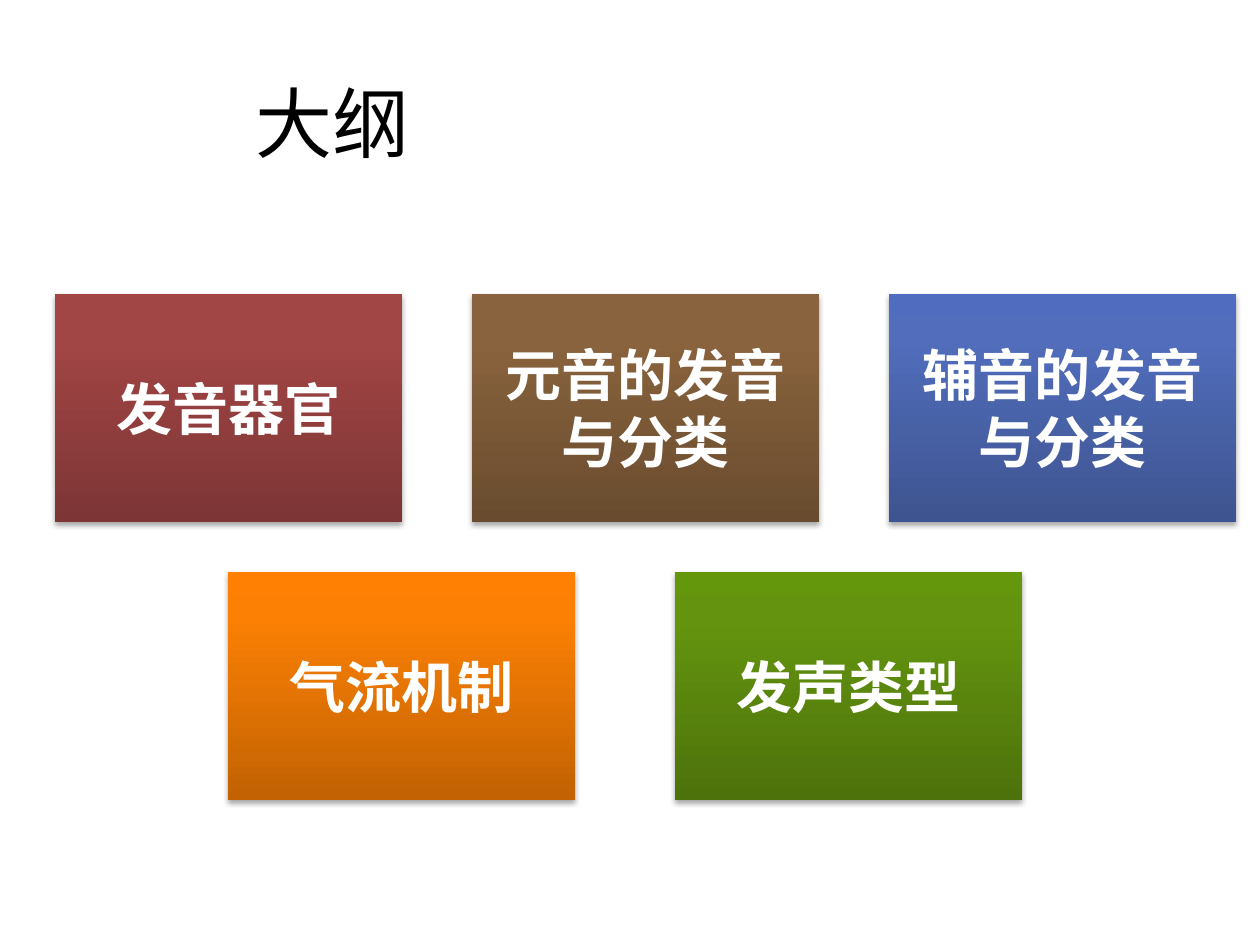
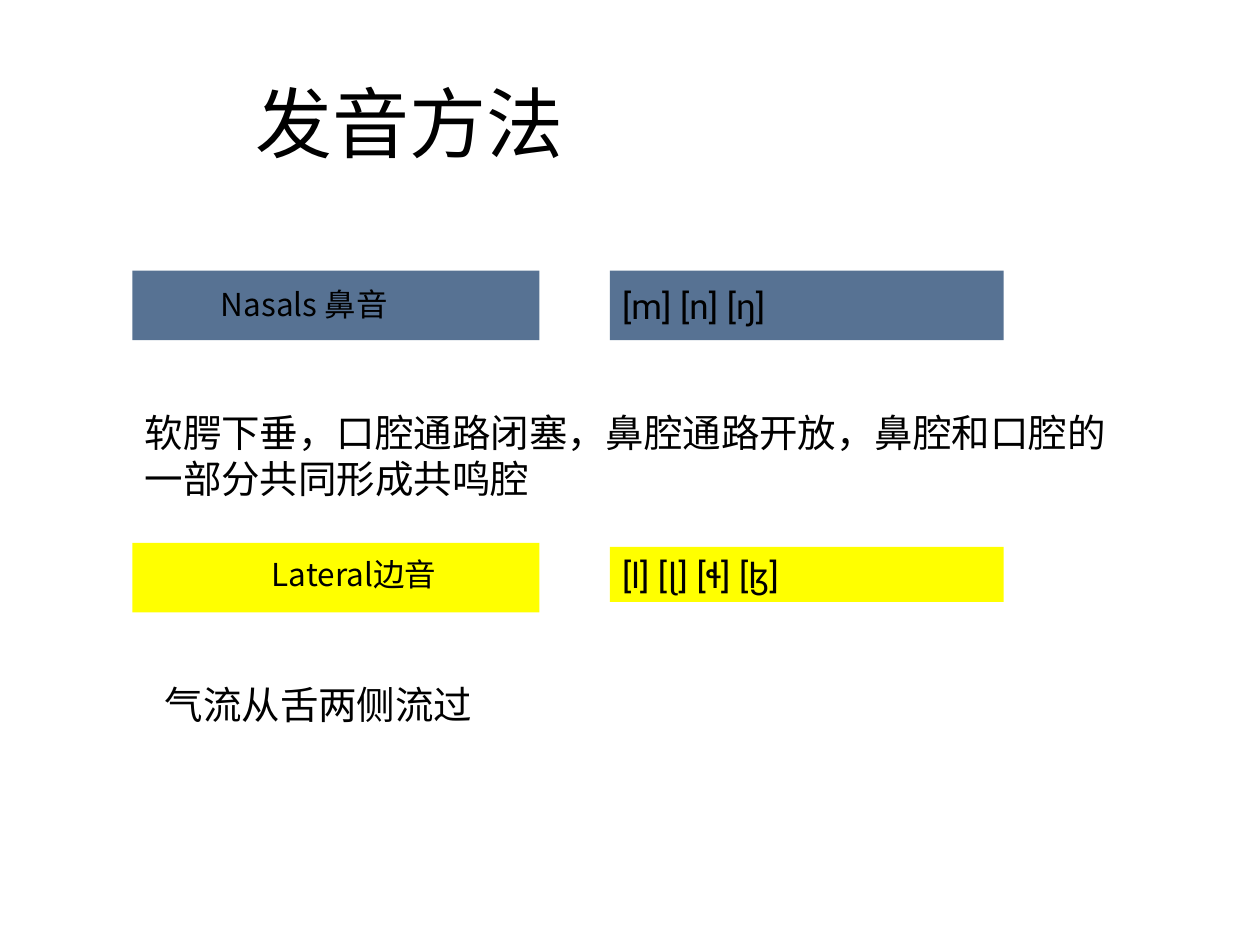
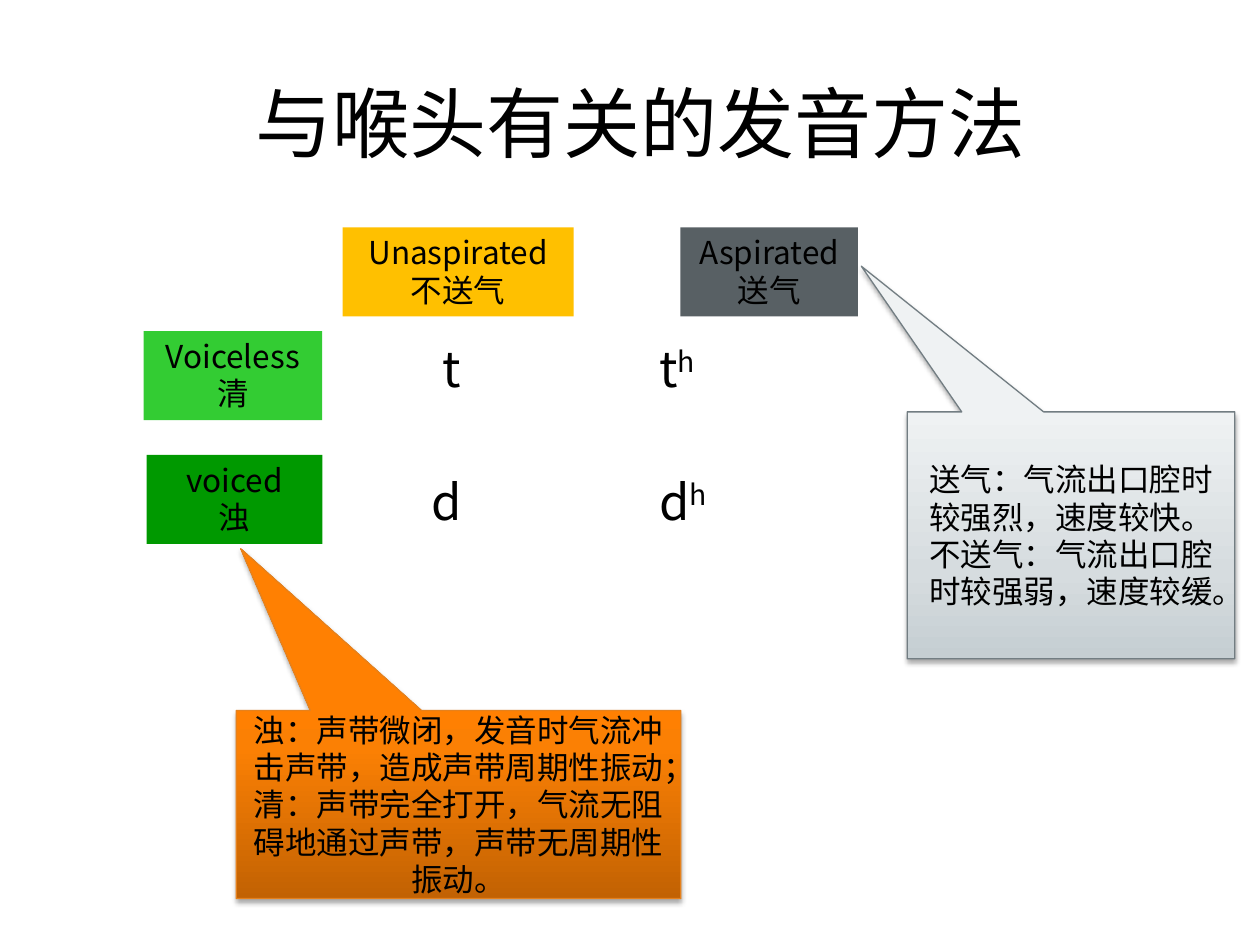
from dataclasses import dataclass

from lxml import etree
from pptx import Presentation
from pptx import util as u
from pptx.dml.color import RGBColor
from pptx.enum import shapes, text
from pptx.oxml import ns, parse_xml

Pt = u.Pt
CENTER, LEFT = text.PP_ALIGN.CENTER, text.PP_ALIGN.LEFT
TOP, MIDDLE = text.MSO_ANCHOR.TOP, text.MSO_ANCHOR.MIDDLE
RECT = shapes.MSO_SHAPE.RECTANGLE
CALLOUT = shapes.MSO_SHAPE.RECTANGULAR_CALLOUT


@dataclass(frozen=True)
class Theme:
    # Fonts
    body_font: str = "Noto Sans CJK SC"
    ipa_font: str = "Roboto"
    tile_font: str = "Times New Roman"
    # Type sizes
    title: int = 44
    tile: int = 32
    symbol: int = 28
    note: int = 22
    ipa: int = 20
    label: int = 18
    line_height: float = 1.19
    title_line: int = 58
    # Flat colours
    ink: str = "000000"
    paper: str = "FFFFFF"
    nasal: str = "577293"
    lateral: str = "FFFF00"
    unaspirated: str = "FFC000"
    aspirated: str = "586064"
    voiceless: str = "33CC33"
    voiced: str = "009900"
    silver_line: str = "727D82"
    orange_line: str = "E6811C"
    # Gradients, from the bottom up: (percent, colour)
    red: tuple = ((0, "7D3535"), (80, "A24545"), (100, "A44343"))
    brown: tuple = ((0, "694C2F"), (80, "89633D"), (100, "8B633C"))
    blue: tuple = ((0, "3E5490"), (80, "516DBB"), (100, "4F6CBE"))
    orange: tuple = ((0, "C26203"), (80, "FB8004"), (100, "FF8002"))
    green: tuple = ((0, "4D720B"), (80, "64940F"), (100, "65970C"))
    silver: tuple = ((0, "C5CED2"), (35, "D6DCDF"), (100, "EFF2F3"))


class Deck:
    def __init__(self, theme):
        self.theme = theme
        self.prs = Presentation()
        self.prs.slide_width, self.prs.slide_height = Pt(720), Pt(540)
        self.slide = None

    def new_slide(self, title):
        """Start a slide with its title."""
        self.slide = self.prs.slides.add_slide(self.prs.slide_layouts[5])
        heading = self.slide.shapes.title
        heading.left, heading.top, heading.width, heading.height = map(
            Pt, (139, 31.7, 487.4, 67.7))
        self.typeset(heading.text_frame, [title], self.theme.title,
                     anchor=text.MSO_ANCHOR.BOTTOM, leading=self.theme.title_line)

    def typeset(self, frame, lines, size, font=None, color=None, bold=False,
                align=LEFT, anchor=TOP, leading=None):
        """Fill a frame with equally styled paragraphs."""
        frame.word_wrap = True
        frame.auto_size = text.MSO_AUTO_SIZE.NONE
        frame.vertical_anchor = anchor
        frame.text = "\n".join(lines)
        for para in frame.paragraphs:
            para.alignment = align
            para.line_spacing = Pt(leading or round(size * self.theme.line_height, 1))
            self.style(para.font, size, font, color, bold)

    def style(self, font, size, name=None, color=None, bold=False):
        font.size, font.bold = Pt(size), bold
        font.color.rgb = RGBColor.from_string(color or self.theme.ink)
        font.name = name or self.theme.body_font
        east_asian = etree.SubElement(font._element, ns.qn("a:ea"))
        east_asian.set("typeface", self.theme.body_font)

    def label(self, box, lines, size, **style):
        """Add a plain text box."""
        frame = self.slide.shapes.add_textbox(*map(Pt, box)).text_frame
        self.typeset(frame, lines, size, **style)
        return frame

    def panel(self, box, fill, lines=(), size=None, kind=RECT, line=None, **style):
        """Add a filled shape; a gradient fill brings a soft shadow."""
        shape = self.slide.shapes.add_shape(kind, *map(Pt, box))
        shape.shadow.inherit = False
        if line:
            shape.line.color.rgb = RGBColor.from_string(line)
            shape.line.width = Pt(0.75)
        else:
            shape.line.fill.background()
        if isinstance(fill, str):
            shape.fill.solid()
            shape.fill.fore_color.rgb = RGBColor.from_string(fill)
        else:
            self.shade(shape, fill)
        if lines:
            self.typeset(shape.text_frame, lines, size, **style)
        return shape

    def shade(self, shape, stops):
        marks = "".join(f'<a:gs pos="{pos * 1000}"><a:srgbClr val="{color}"/></a:gs>'
                        for pos, color in stops)
        props = shape._element.spPr
        props.find(ns.qn("a:prstGeom")).addnext(parse_xml(
            f'<a:gradFill {ns.nsdecls("a")} rotWithShape="1"><a:gsLst>{marks}</a:gsLst>'
            '<a:lin ang="16200000" scaled="0"/></a:gradFill>'))
        props.find(ns.qn("a:effectLst")).append(parse_xml(
            f'<a:outerShdw {ns.nsdecls("a")} blurRad="{Pt(3.1)}" dist="{Pt(1.8)}" '
            'dir="5400000" rotWithShape="0"><a:srgbClr val="000000">'
            '<a:alpha val="35000"/></a:srgbClr></a:outerShdw>'))

    def callout(self, box, tip, fill, line, lines):
        """Add a callout whose tip is given relative to its centre."""
        bubble = self.panel(box, fill, lines, self.theme.label, kind=CALLOUT,
                            line=line, align=CENTER, anchor=MIDDLE)
        bubble.adjustments[0], bubble.adjustments[1] = tip


def outline(deck):
    t = deck.theme
    deck.new_slide("大纲")
    # Rows of topic tiles: left, top, pitch, topics
    rows = [
        (31.2, 168, 238.3, [(["发音器官"], t.red),
                            (["元音的发音", "与分类"], t.brown),
                            (["辅音的发音与分类"], t.blue)]),
        (130.3, 326.9, 255.2, [(["气流机制"], t.orange),
                               (["发声类型"], t.green)]),
    ]
    for left, top, pitch, topics in rows:
        for col, (lines, fill) in enumerate(topics):
            deck.panel((left + col * pitch, top, 198.5, 130.2), fill, lines, t.tile,
                       font=t.tile_font, color=t.paper, bold=True,
                       align=CENTER, anchor=MIDDLE)


def manner(deck):
    t = deck.theme
    deck.new_slide("发音方法")
    # Each manner: colour, band top, name and its box, symbols and their box, note and its box
    manners = [
        (t.nasal, 154.7, "Nasals 鼻音", (75.6, 159.8, 196.6, 29),
         "[m] [n] [ŋ]", (154.7, 39.7),
         "软腭下垂，口腔通路闭塞，鼻腔通路开放，鼻腔和口腔的一部分共同形成共鸣腔",
         (75.6, 230.4, 579.6, 60.5)),
        (t.lateral, 310.2, "Lateral边音", (78.5, 313.9, 247.7, 29),
         "[l] [ɭ] [ɬ] [ɮ]", (312.5, 31.5),
         "气流从舌两侧流过", (87.1, 385.9, 556.6, 33.8)),
    ]
    for fill, top, name, name_box, symbols, (ipa_top, ipa_height), note, note_box in manners:
        deck.panel((75.6, top, 232.6, 39.7), fill)
        deck.label(name_box, [name], t.label, align=CENTER)
        deck.panel((348.5, ipa_top, 225, ipa_height), fill, [symbols], t.ipa,
                   font=t.ipa_font, anchor=MIDDLE)
        deck.label(note_box, [note], t.note)


def larynx(deck):
    t = deck.theme
    deck.new_slide("与喉头有关的发音方法")
    # Column and row headings
    headings = [
        (195.8, 130, 132, t.unaspirated, ["Unaspirated", "不送气"]),
        (388.8, 130, 101.5, t.aspirated, ["Aspirated", "送气"]),
        (82.1, 189.2, 102, t.voiceless, ["Voiceless", "清"]),
        (83.8, 260, 100.5, t.voiced, ["voiced", "浊"]),
    ]
    for left, top, width, fill, lines in headings:
        deck.panel((left, top, width, 50.9), fill, lines, t.label, align=CENTER)

    # Stops, set on two tab stops
    stops = deck.label((195.8, 190, 309.6, 140.4), [], t.symbol)
    for row, (stop, first_tab) in enumerate([("t", 50), ("d", 44)]):
        para = stops.paragraphs[0] if row == 0 else stops.add_paragraph()
        para.line_spacing = Pt(33.3)
        if row:
            para.space_before = Pt(43)
        props = para._p.get_or_add_pPr()
        for old in props.findall(ns.qn("a:defRPr")):
            props.remove(old)
        tabs = etree.SubElement(props, ns.qn("a:tabLst"))
        for pos in (first_tab, 174):
            etree.SubElement(tabs, ns.qn("a:tab"), pos=str(Pt(pos)), algn="l")
        deck.style(para.font, t.symbol)
        para.add_run().text = f"\t{stop}\t{stop}"
        aspiration = para.add_run()
        aspiration.text = "h"
        aspiration._r.get_or_add_rPr().set("baseline", "30000")

    # Explanations
    deck.callout((518.4, 235.4, 187.2, 141.1), (-0.64, -1.09), t.silver, t.silver_line,
                 ["送气：气流出口腔时较强烈，速度较快。",
                  "不送气：气流出口腔时较强弱，速度较缓。"])
    deck.callout((135, 406, 254, 107.5), (-0.49, -1.36), t.orange, t.orange_line,
                 ["浊：声带微闭，发音时气流冲击声带，造成声带周期性振动；"
                  "清：声带完全打开，气流无阻碍地通过声带，声带无周期性振动。"])


def main():
    deck = Deck(Theme())
    for build in (outline, manner, larynx):
        build(deck)
    deck.prs.save("out.pptx")


if __name__ == "__main__":
    main()
